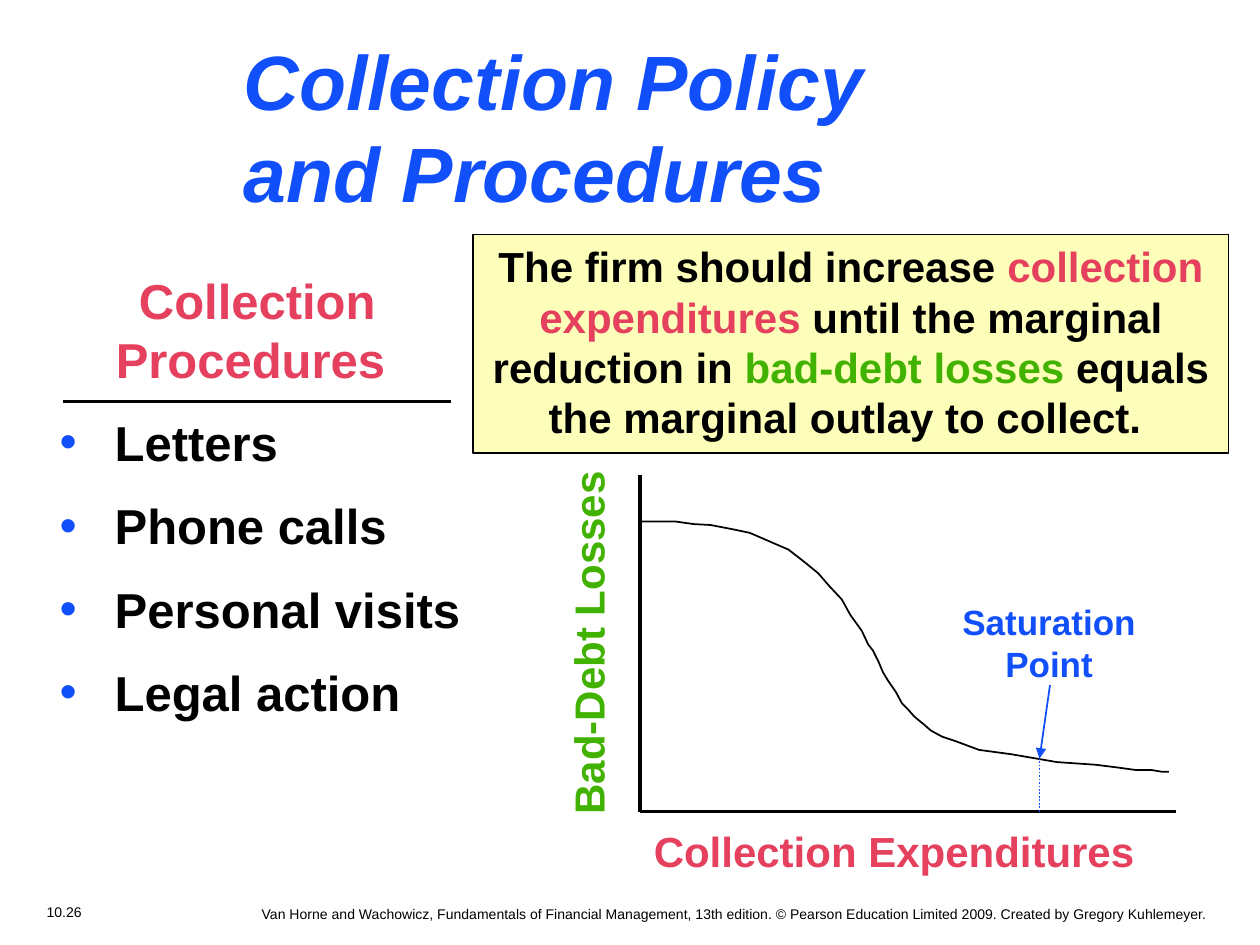
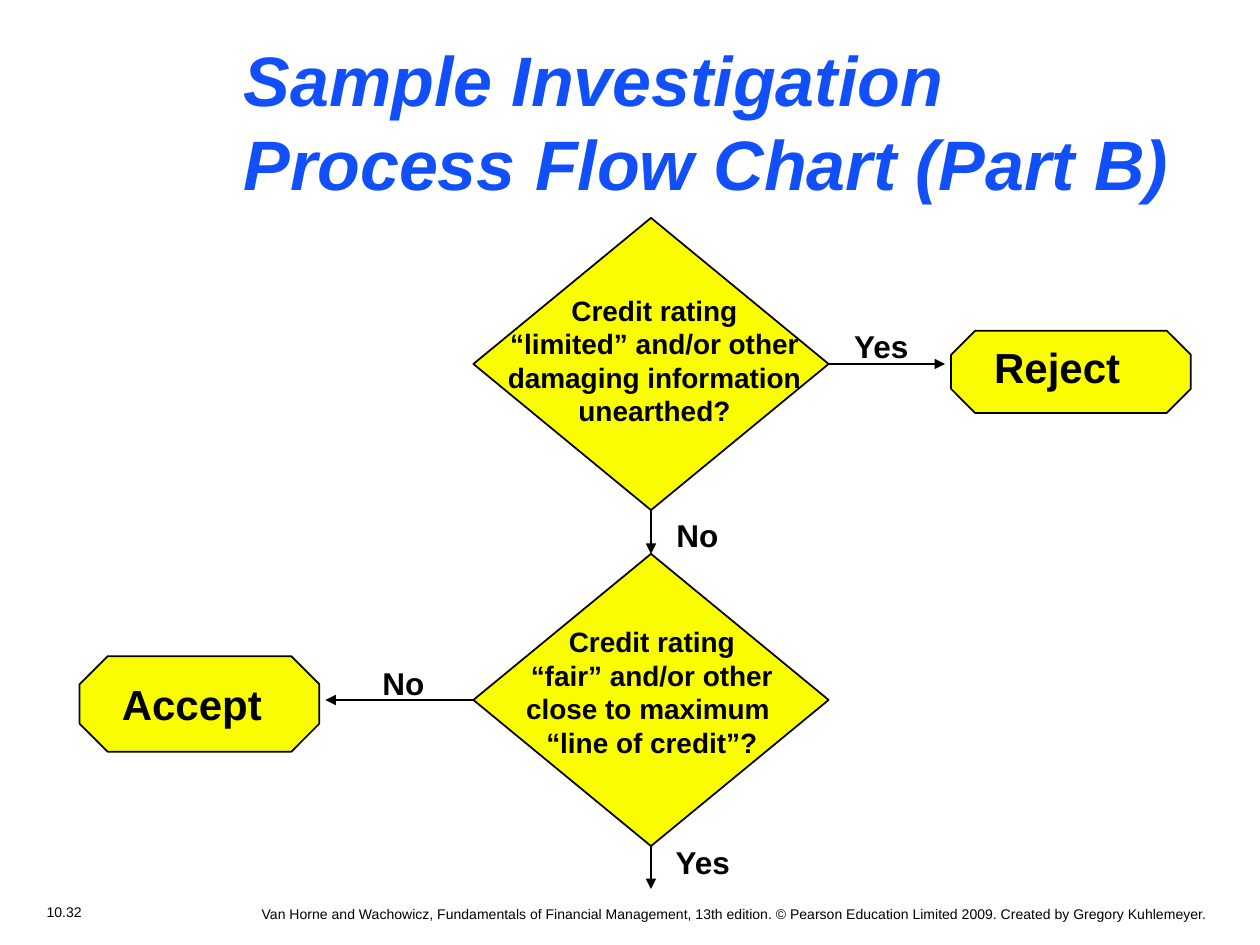
from lxml import etree
from pptx import Presentation
from pptx.dml.color import RGBColor
from pptx.enum.dml import MSO_LINE
from pptx.enum.shapes import MSO_CONNECTOR, MSO_SHAPE
from pptx.enum.text import MSO_ANCHOR, MSO_AUTO_SIZE, PP_ALIGN
from pptx.oxml.ns import qn
from pptx.util import Pt

LEFT, CENTER, RIGHT = PP_ALIGN.LEFT, PP_ALIGN.CENTER, PP_ALIGN.RIGHT
TOP, MIDDLE = MSO_ANCHOR.TOP, MSO_ANCHOR.MIDDLE
NO_FIT, GROW = MSO_AUTO_SIZE.NONE, MSO_AUTO_SIZE.SHAPE_TO_FIT_TEXT
STRAIGHT = MSO_CONNECTOR.STRAIGHT
DOTTED = MSO_LINE.ROUND_DOT
RECTANGLE, DIAMOND, OCTAGON = MSO_SHAPE.RECTANGLE, MSO_SHAPE.DIAMOND, MSO_SHAPE.OCTAGON
TOP_SITE, LEFT_SITE, BOTTOM_SITE, RIGHT_SITE = range(4)

FONT = "Arial"
BLACK, BLUE, RED, GREEN = "000000", "114FFB", "E5405D", "42B200"
CREAM, YELLOW = "FCFEB9", "FAFD00"

FOOTER = (
    "Van Horne and Wachowicz, Fundamentals of Financial Management, 13th edition. "
    "© Pearson Education Limited 2009. Created by Gregory Kuhlemeyer."
)

# Collection policy
ADVICE = [
    ("The firm should increase ", BLACK),
    ("collection expenditures ", RED),
    ("until the marginal reduction in ", BLACK),
    ("bad-debt losses ", GREEN),
    ("equals the marginal outlay to collect. ", BLACK),
]
PROCEDURES_HEADING = "Collection Procedures "
PROCEDURES = ["Letters", "Phone calls", "Personal visits", "Legal action"]
ORIGIN = (365.75, 463.75)
AXIS_TOP, AXIS_RIGHT = 271.5, 672
SATURATION = (594, 433.5)
LOSS_CURVE = [
    (668, 441), (664, 441), (658, 440), (649, 440), (638, 438.5), (626, 437),
    (604, 435.5), (578, 431), (559.5, 428.5), (546, 423.5), (538.5, 421),
    (532, 417.5), (528, 414), (522.5, 409.5), (519, 405.5), (515.5, 402),
    (512, 395.5), (507.5, 389), (504.5, 384), (502, 378), (499, 372),
    (496, 368), (492.5, 360.5), (486, 351.5), (481, 342.5), (474, 335),
    (467.5, 327.5), (459.5, 321), (450.5, 314), (440, 309.5), (428.5, 304.5),
    (419, 302.5), (406, 300), (396.5, 299.5), (386, 298), (365, 298),
]

# Flow chart: frames are left, top, width, height
DIAMOND_LEFT, DIAMOND_WIDTH, DIAMOND_HEIGHT = 270.5, 203, 167
DIAMOND_TOPS = [124.5, 316.5]
OUTCOME_FRAMES = [(543.5, 189, 137, 47), (45.5, 375, 137, 54.5)]
QUESTIONS = [
    (["Credit rating", "“limited” and/or other", "damaging information", "unearthed?"],
     (282, 164, 184, 83.5)),
    (["Credit rating", "“fair” and/or other", "close to maximum ", "“line of credit”?"],
     (292.5, 353.5, 160, 83.5)),
]
OUTCOME_LABELS = [
    ("Reject", (561, 191.5, 87, 36)),
    ("Accept", (62.5, 384, 95, 36)),
]
BRANCH_LABELS = [
    ("Yes", (481, 183.5, 47, 29)),
    ("No", (379.5, 291.5, 39, 29)),
    ("No", (211.5, 376, 39, 29)),
    ("Yes", (379, 478, 47, 29)),
]


def rgb(color):
    return RGBColor.from_string(color)


def points(values):
    return [Pt(value) for value in values]


def style_font(font, size, color=None, bold=True, italic=False):
    font.name, font.size, font.bold, font.italic = FONT, Pt(size), bold, italic
    if color:
        font.color.rgb = rgb(color)


def add_text(page, frame, lines, size, color, align=LEFT, bold=True, wrap=False):
    """Add a text box; one that does not wrap grows to hold its lines."""
    box = page.shapes.add_textbox(*points(frame))
    box.text_frame.word_wrap = wrap
    box.text_frame.auto_size = NO_FIT if wrap else GROW
    box.text_frame.text = "\n".join(lines)
    for para in box.text_frame.paragraphs:
        para.alignment = align
        style_font(para.font, size, color, bold)
    return box


def add_page(deck, title, title_frame, title_size, number):
    """Add a title-only slide with its title, page number and copyright line."""
    page = deck.slides.add_slide(deck.slide_layouts[5])
    heading = page.shapes.title
    heading.left, heading.top, heading.width, heading.height = points(title_frame)
    frame = heading.text_frame
    frame.text = title
    frame.word_wrap, frame.auto_size, frame.vertical_anchor = True, NO_FIT, MIDDLE
    frame.paragraphs[0].alignment = LEFT
    style_font(frame.paragraphs[0].font, title_size, BLUE, italic=True)
    add_text(page, (5, 512.5, 63.5, 17.5), [number], 8, BLACK, CENTER, bold=False)
    add_text(page, (17.5, 514, 680, 15), [FOOTER], 8, BLACK, RIGHT, bold=False, wrap=True)
    return page


def add_box(page, preset, frame, fill):
    box = page.shapes.add_shape(preset, *points(frame))
    box.shadow.inherit = False
    box.fill.solid()
    box.fill.fore_color.rgb = rgb(fill)
    box.line.color.rgb = rgb(BLACK)
    box.line.width = Pt(1)
    return box


def add_line(page, start, end, color=BLACK, width=1, arrow=False):
    line = page.shapes.add_connector(STRAIGHT, *points(start + end))
    line.line.color.rgb = rgb(color)
    line.line.width = Pt(width)
    if arrow:
        etree.SubElement(line.line._get_or_add_ln(), qn("a:tailEnd"), type="triangle")
    etree.SubElement(line._element.spPr, qn("a:effectLst"))
    return line


def add_bullet(para):
    props = para._p.get_or_add_pPr()
    props.set("marL", str(Pt(40.5)))
    props.set("indent", str(Pt(-31.5)))
    bullet_color = etree.SubElement(props, qn("a:buClr"))
    etree.SubElement(bullet_color, qn("a:srgbClr"), val=BLUE)
    etree.SubElement(props, qn("a:buFont"), typeface=FONT)
    etree.SubElement(props, qn("a:buChar"), char="•")


def add_advice(page):
    box = add_box(page, RECTANGLE, (270.5, 134, 431.5, 125), CREAM)
    box.text_frame.word_wrap = True
    box.text_frame.vertical_anchor = TOP
    para = box.text_frame.paragraphs[0]
    para.alignment = CENTER
    style_font(para.font, 24)
    for words, color in ADVICE:
        span = para.add_run()
        span.text = words
        span.font.color.rgb = rgb(color)


def add_procedures(page):
    box = add_text(page, (18, 151, 258, 265), [PROCEDURES_HEADING], 28, RED, CENTER, wrap=True)
    box.text_frame.paragraphs[0].space_after = Pt(7)
    for procedure in PROCEDURES:
        para = box.text_frame.add_paragraph()
        para.text = procedure
        add_bullet(para)
        para.space_before = para.space_after = Pt(7)
        style_font(para.font, 28, BLACK)
    add_line(page, (36, 229.5), (258, 229.5), width=2)


def add_loss_graph(page):
    origin_x, origin_y = ORIGIN
    add_line(page, (origin_x, AXIS_TOP), ORIGIN, width=2)
    add_line(page, (AXIS_RIGHT, origin_y), ORIGIN, width=2)

    first, *rest = [points(vertex) for vertex in LOSS_CURVE]
    builder = page.shapes.build_freeform(*first)
    builder.add_line_segments(rest, close=False)
    curve = builder.convert_to_shape()
    curve.shadow.inherit = False
    curve.fill.background()
    curve.line.color.rgb = rgb(BLACK)
    curve.line.width = Pt(1)

    drop = add_line(page, (SATURATION[0], origin_y), SATURATION, BLUE)
    drop.line.dash_style = DOTTED
    add_text(page, (541.5, 339.5, 116, 55), ["Saturation", "Point"], 20, BLUE, CENTER)
    add_line(page, (600, 391.5), SATURATION, BLUE, arrow=True)
    add_text(page, (366.5, 468, 290, 36), ["Collection Expenditures"], 24, RED)
    losses = add_text(page, (230, 348.5, 212, 36), ["Bad-Debt Losses"], 24, GREEN)
    losses.rotation = 270


def add_flow_chart(page):
    rating, limit = [
        add_box(page, DIAMOND, (DIAMOND_LEFT, top, DIAMOND_WIDTH, DIAMOND_HEIGHT), YELLOW)
        for top in DIAMOND_TOPS
    ]
    for frame in OUTCOME_FRAMES:
        add_box(page, OCTAGON, frame, YELLOW).adjustments[0] = 0.293

    center_x = DIAMOND_LEFT + DIAMOND_WIDTH / 2
    rating_y, limit_y = [top + DIAMOND_HEIGHT / 2 for top in DIAMOND_TOPS]
    arrows = [
        (rating, RIGHT_SITE, (540, rating_y)),
        (rating, BOTTOM_SITE, (center_x, DIAMOND_TOPS[1])),
        (limit, LEFT_SITE, (186, limit_y)),
        (limit, BOTTOM_SITE, (center_x, 508)),
    ]
    for source, site, end in arrows:
        arrow = add_line(page, (center_x, rating_y), end, arrow=True)
        arrow.begin_connect(source, site)
        if end[1] == DIAMOND_TOPS[1]:
            arrow.end_connect(limit, TOP_SITE)

    for lines, frame in QUESTIONS:
        add_text(page, frame, lines, 16, BLACK, CENTER)
    for labels, size in ((OUTCOME_LABELS, 24), (BRANCH_LABELS, 18)):
        for label, frame in labels:
            add_text(page, frame, [label], size, BLACK)


def main():
    deck = Presentation()
    deck.slide_width, deck.slide_height = Pt(720), Pt(540)

    policy = add_page(deck, "Collection Policy and Procedures",
                      (132, 15.5, 456, 112.5), 44, "10.26")
    add_advice(policy)
    add_procedures(policy)
    add_loss_graph(policy)

    investigation = add_page(deck, "Sample Investigation Process Flow Chart (Part B)",
                             (132, 17.5, 576, 103), 40, "10.32")
    add_flow_chart(investigation)

    deck.save("out.pptx")


if __name__ == "__main__":
    main()
